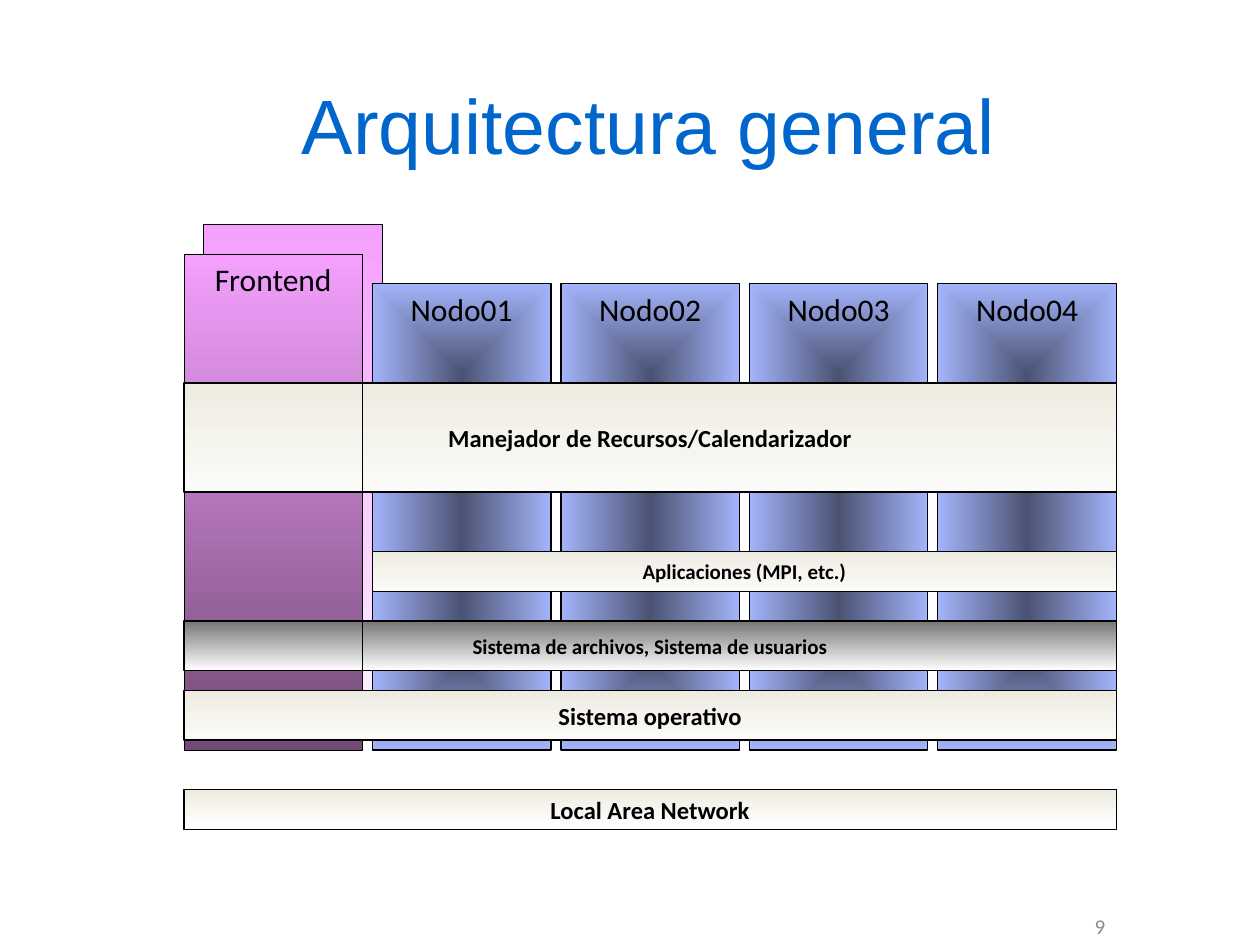
from lxml import etree
from pptx import Presentation
from pptx import util as u
from pptx.dml.color import RGBColor
from pptx.enum import shapes, text
from pptx.oxml import ns, parse_xml

BLACK = RGBColor(0x00, 0x00, 0x00)
GRAY = RGBColor(0x8C, 0x8C, 0x8C)
TITLE_BLUE = RGBColor(0x00, 0x66, 0xCC)
PINK = RGBColor(0xF5, 0xA0, 0xFE)
PALE_PINK = RGBColor(0xFD, 0xF3, 0xFF)
PLUM = RGBColor(0x71, 0x4A, 0x75)
NAVY = RGBColor(0x4B, 0x53, 0x73)
PERIWINKLE = RGBColor(0xA4, 0xB4, 0xFA)
CREAM = RGBColor(0xEE, 0xEC, 0xE1)
OFF_WHITE = RGBColor(0xFB, 0xFB, 0xF9)
WHITE = RGBColor(0xFF, 0xFF, 0xFF)
DARK_GRAY = RGBColor(0x76, 0x76, 0x76)

LEFT, TOP = 1.46, 1.78
COLUMNS = 94
UNIT = 7.4 / COLUMNS
NODE_WIDTH = 18
NODE_PITCH = NODE_WIDTH + 1
NODE_TOP, NODE_BOTTOM = 6, 53

CENTER_GRADIENT = (
    f'<a:path {ns.nsdecls("a")} path="shape">'
    '<a:fillToRect l="50000" t="50000" r="50000" b="50000"/></a:path>'
)


def grid_x(column):
    return u.Inches(LEFT + column * UNIT)


def grid_y(row):
    return u.Inches(TOP + row * UNIT)


def write(shape, content, size=18, color=BLACK, font="Calibri", bold=False,
          anchor=text.MSO_ANCHOR.MIDDLE, wrap=False):
    frame = shape.text_frame
    frame.word_wrap = wrap
    frame.vertical_anchor = anchor
    paragraph = frame.paragraphs[0]
    paragraph.text = content
    paragraph.alignment = text.PP_ALIGN.CENTER
    paragraph.font.name = font
    paragraph.font.size = u.Pt(size)
    paragraph.font.bold = bold
    paragraph.font.color.rgb = color


def fill_gradient(shape, colors, from_center=False):
    shape.fill.gradient()
    for stop, position, color in zip(shape.fill.gradient_stops, (0, 1), colors):
        stop.position = position
        stop.color.rgb = color
    if from_center:
        linear = shape.element.spPr.find(".//" + ns.qn("a:lin"))
        linear.getparent().replace(linear, parse_xml(CENTER_GRADIENT))
    else:
        shape.fill.gradient_angle = 270


def add_block(slide, column, row, width, height, colors, line_width=0.75,
              from_center=False):
    shape = slide.shapes.add_shape(
        shapes.MSO_SHAPE.RECTANGLE, grid_x(column), grid_y(row),
        u.Inches(width * UNIT), u.Inches(height * UNIT))
    shape.shadow.inherit = False
    fill_gradient(shape, colors, from_center)
    shape.line.color.rgb = BLACK
    shape.line.width = u.Pt(line_width)
    return shape


def add_layer(slide, label, row, height, size, colors, column=0):
    layer = add_block(slide, column, row, COLUMNS - column, height, colors)
    write(layer, label, size=size, bold=True)


def add_divider(slide, row, height):
    x = grid_x(NODE_WIDTH)
    line = slide.shapes.add_connector(
        shapes.MSO_CONNECTOR.STRAIGHT, x, grid_y(row), x, grid_y(row + height))
    line.line.color.rgb = BLACK
    line.line.width = u.Pt(0.75)
    etree.SubElement(line.element.spPr, ns.qn("a:effectLst"))


def add_title(slide, content):
    title = slide.shapes.title
    title.left, title.top = u.Inches(0.78), u.Inches(0.5)
    title.width, title.height = u.Inches(8.74), u.Inches(0.97)
    write(title, content, size=44, color=TITLE_BLUE, font="Arial", wrap=True)


def add_page_number(slide, number):
    box = slide.shapes.add_textbox(
        u.Inches(7.69), u.Inches(7.22), u.Inches(2.08), u.Inches(0.26))
    write(box, number, size=12, color=GRAY, wrap=True)


def add_machines(slide):
    add_block(slide, 2, 0, NODE_WIDTH, 51, (PINK, PALE_PINK))
    frontend = add_block(slide, 0, 3, NODE_WIDTH, 50, (PINK, PLUM), line_width=0.25)
    write(frontend, "Frontend", anchor=text.MSO_ANCHOR.TOP)
    for number in range(1, 5):
        node = add_block(slide, number * NODE_PITCH, NODE_TOP, NODE_WIDTH,
                         NODE_BOTTOM - NODE_TOP, (NAVY, PERIWINKLE), from_center=True)
        write(node, f"Nodo{number:02}", anchor=text.MSO_ANCHOR.TOP)


def main():
    presentation = Presentation()
    presentation.slide_width = u.Inches(10)
    presentation.slide_height = u.Inches(7.5)
    slide = presentation.slides.add_slide(presentation.slide_layouts[5])
    add_title(slide, "Arquitectura general")
    add_page_number(slide, "9")
    add_machines(slide)
    add_layer(slide, "Local Area Network", 57, 4, 14, (CREAM, WHITE))
    add_layer(slide, "Sistema de archivos, Sistema de usuarios", 40, 5, 12,
              (DARK_GRAY, WHITE))
    add_layer(slide, "Aplicaciones (MPI, etc.)", 33, 4, 12, (CREAM, OFF_WHITE),
              column=NODE_PITCH)
    add_divider(slide, 40, 5)
    add_layer(slide, "Sistema operativo", 47, 5, 14, (CREAM, OFF_WHITE))
    add_layer(slide, "Manejador de Recursos/Calendarizador", 16, 11, 14,
              (CREAM, OFF_WHITE))
    add_divider(slide, 16, 11)
    presentation.save("out.pptx")


if __name__ == "__main__":
    main()
